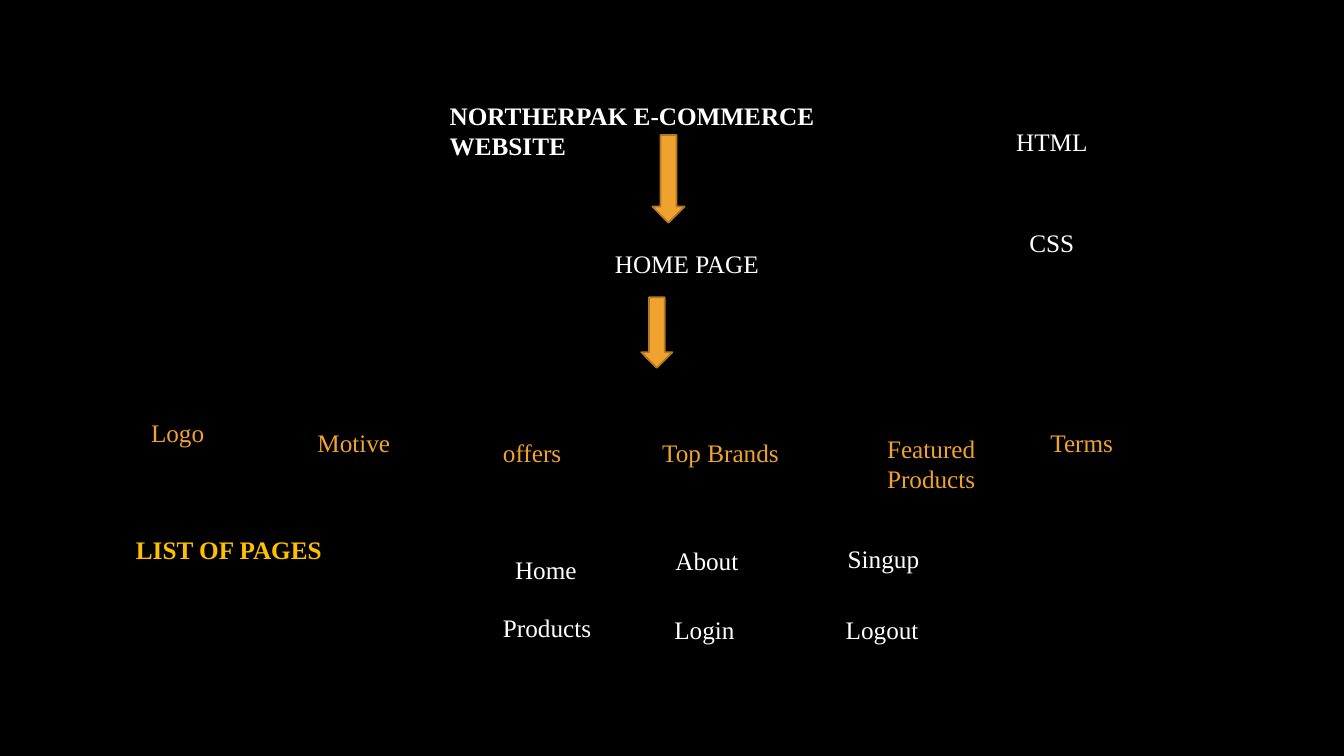
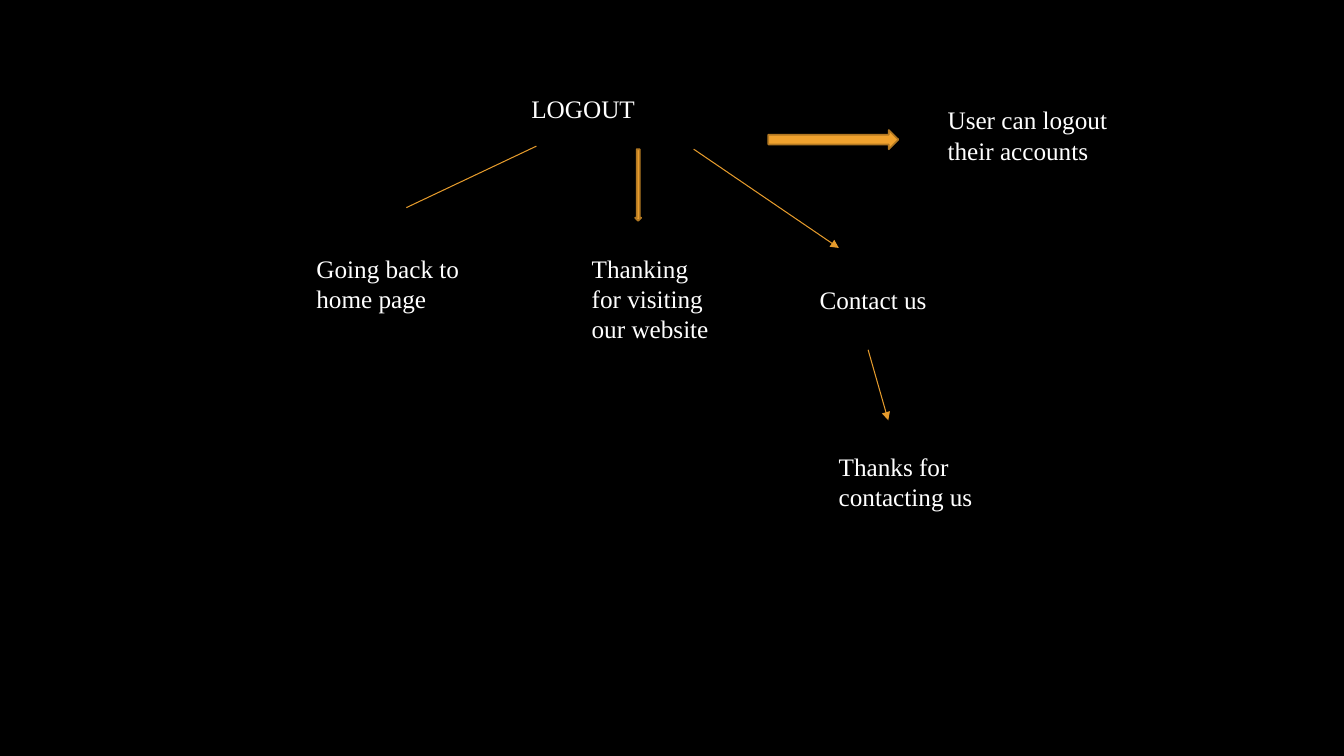
from lxml.etree import SubElement
from pptx import Presentation
from pptx.dml.color import RGBColor
from pptx.enum.shapes import MSO_CONNECTOR, MSO_SHAPE
from pptx.enum.text import MSO_ANCHOR, MSO_AUTO_SIZE, PP_ALIGN
from pptx.oxml.ns import qn
from pptx.util import Inches, Pt

BLACK, WHITE, GOLD = "000000", "FFFFFF", "F0A22E"
YELLOW, EDGE, LINE = "FFC000", "B27822", "E59B2C"
FONT = {"name": "Times New Roman", "size": Pt(18), "bold": False}
FRAME = {"word_wrap": True, "auto_size": MSO_AUTO_SIZE.NONE,
         "vertical_anchor": MSO_ANCHOR.TOP}
DOWN, RIGHT = MSO_SHAPE.DOWN_ARROW, MSO_SHAPE.RIGHT_ARROW
ROW = 0.3  # height of one line of text
PAD = 0.1  # top and bottom inset together

# Labels: text, left, top, width, lines, colour, bold
# Arrows: shape, left, top, width, height
# Links: start, end, arrowhead
SLIDES = [
    {
        "title": ("NORTHERPAK E-COMMERCE WEBSITE", 4.36, 0.94, 4.73, 1, WHITE, True),
        "labels": [
            ("HTML", 9.98, 1.2, 1.86, 1, WHITE, False),
            ("CSS", 10.11, 2.21, 1.22, 1, WHITE, False),
            ("HOME PAGE", 6, 2.41, 2.7, 1, WHITE, False),
            ("Logo", 1.4, 4.09, 1.84, 1, GOLD, False),
            ("Motive", 3.05, 4.19, 1.84, 1, GOLD, False),
            ("offers", 4.89, 4.29, 1.28, 1, GOLD, False),
            ("Top Brands", 6.47, 4.29, 1.36, 1, GOLD, False),
            ("Featured Products", 8.7, 4.25, 1.73, 2, GOLD, False),
            ("Terms", 10.32, 4.19, 1.52, 1, GOLD, False),
            ("LIST OF PAGES", 1.25, 5.25, 2.57, 1, YELLOW, True),
            ("Home", 5.01, 5.45, 3.56, 1, WHITE, False),
            ("Products", 4.89, 6.03, 1.31, 1, WHITE, False),
            ("About", 6.6, 5.36, 1.17, 1, WHITE, False),
            ("Login", 6.59, 6.05, 1.17, 1, WHITE, False),
            ("Singup", 8.31, 5.34, 1.26, 1, WHITE, False),
            ("Logout", 8.29, 6.05, 1.3, 1, WHITE, False),
        ],
        "arrows": [(DOWN, 6.47, 1.34, 0.32, 0.87), (DOWN, 6.36, 2.95, 0.31, 0.7)],
        "links": [],
    },
    {
        "title": ("LOGOUT", 5.17, 0.88, 2.45, 1, WHITE, False),
        "labels": [
            ("User can logout their accounts", 9.3, 0.99, 2.01, 2, WHITE, False),
            ("Going back to home page", 3.04, 2.46, 1.83, 2, WHITE, False),
            ("Thanking for visiting our website", 5.77, 2.46, 1.36, 3, WHITE, False),
            ("Contact us", 8.03, 2.77, 1.36, 1, WHITE, False),
            ("Thanks for contacting us", 8.22, 4.43, 2.01, 2, WHITE, False),
        ],
        "arrows": [(DOWN, 6.3, 1.48, 0.06, 0.71), (RIGHT, 7.62, 1.29, 1.29, 0.19)],
        "links": [
            ((6.88, 1.48), (8.32, 2.46), True),
            ((4.03, 2.06), (5.32, 1.45), False),
            ((8.61, 3.47), (8.81, 4.17), True),
        ],
    },
]


def color(code):
    return RGBColor.from_string(code)


def assign(item, values):
    for key, value in values.items():
        setattr(item, key, value)


def write(box, label):
    """Place a title or text box and format its text."""
    text, left, top, width, lines, tint, bold = label
    assign(box, {"left": Inches(left), "top": Inches(top), "width": Inches(width),
                 "height": Inches(PAD + ROW * lines)})
    frame = box.text_frame
    frame.text = text
    assign(frame, FRAME)
    part = frame.paragraphs[0]
    part.alignment = PP_ALIGN.LEFT
    font = part.runs[0].font
    assign(font, {**FONT, "bold": bold})
    font.color.rgb = color(tint)


def arrow(slide, kind, *place):
    shape = slide.shapes.add_shape(kind, *map(Inches, place))
    shape.shadow.inherit = False
    shape.fill.solid()
    shape.fill.fore_color.rgb = color(GOLD)
    shape.line.color.rgb = color(EDGE)
    shape.line.width = Pt(1.25)


def link(slide, start, end, head):
    wire = slide.shapes.add_connector(
        MSO_CONNECTOR.STRAIGHT, *map(Inches, start + end))
    wire.line.color.rgb = color(LINE)
    wire.line.width = Pt(0.75)
    props = wire.element.spPr
    if head:
        SubElement(props.find(qn("a:ln")), qn("a:tailEnd"), type="triangle")
    SubElement(props, qn("a:effectLst"))


def main():
    deck = Presentation()
    deck.slide_width, deck.slide_height = Inches(13.33), Inches(7.5)

    # Shared background
    back = deck.slide_master.background.fill
    back.solid()
    back.fore_color.rgb = color(BLACK)

    for page in SLIDES:
        slide = deck.slides.add_slide(deck.slide_layouts[5])
        write(slide.shapes.title, page["title"])
        for label in page["labels"]:
            write(slide.shapes.add_textbox(0, 0, 0, 0), label)
        for item in page["arrows"]:
            arrow(slide, *item)
        for item in page["links"]:
            link(slide, *item)

    deck.save("out.pptx")


if __name__ == "__main__":
    main()
